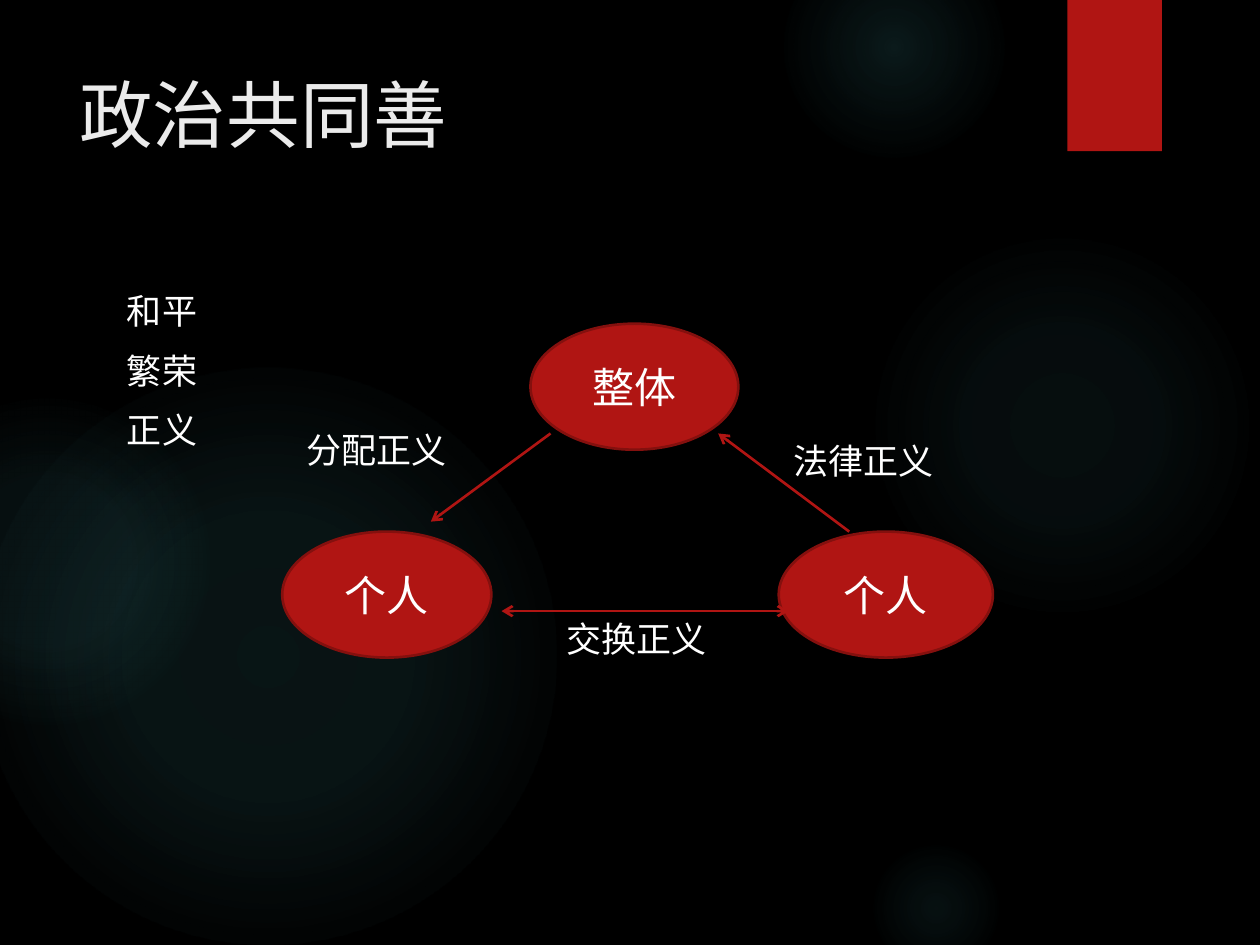
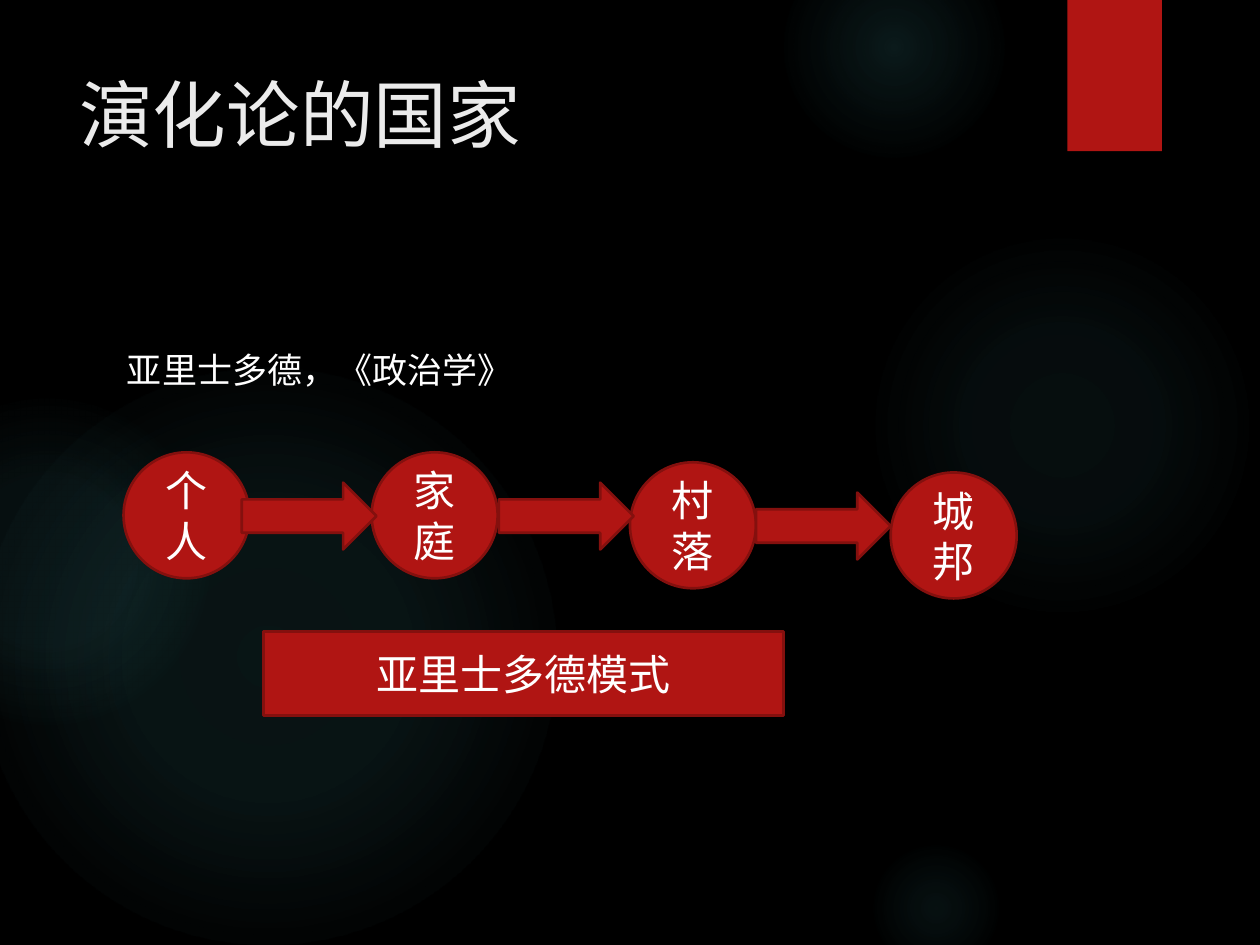
from dataclasses import dataclass

import lxml.etree
import pptx
import pptx.dml.color
import pptx.enum.dml
import pptx.enum.lang
import pptx.enum.shapes
import pptx.enum.text
import pptx.oxml
import pptx.oxml.ns
import pptx.util

Pt = pptx.util.Pt
Color = pptx.dml.color.RGBColor
Kind = pptx.enum.shapes.MSO_SHAPE
Align = pptx.enum.text.PP_ALIGN
Anchor = pptx.enum.text.MSO_ANCHOR
qn = pptx.oxml.ns.qn

BLACK = Color(0x00, 0x00, 0x00)
WHITE = Color(0xFF, 0xFF, 0xFF)
PALE = Color(0xEB, 0xEB, 0xEB)
RED = Color(0xB0, 0x15, 0x13)
DARK = Color(0x84, 0x10, 0x0E)
TEAL = Color(0x50, 0xB9, 0xC1)

MAIN = "League Spartan"
LABEL = "Calibri"
SPACE = f'xmlns:a="{pptx.oxml.ns.nsdecls("a").split(chr(34))[1]}"'


@dataclass(frozen=True)
class Box:
    left: float
    top: float
    width: float
    height: float

    def place(self) -> tuple:
        return Pt(self.left), Pt(self.top), Pt(self.width), Pt(self.height)


@dataclass(frozen=True)
class Glow:
    left: float
    top: float
    size: float
    stops: tuple


@dataclass(frozen=True)
class Node:
    text: str
    box: Box
    kind: int = Kind.OVAL


@dataclass(frozen=True)
class Label:
    text: str
    box: Box
    wrap: bool = True


@dataclass(frozen=True)
class Arrow:
    start: tuple
    end: tuple
    both: bool = False


GLOWS = (
    Glow(496, 132, 222, ((0, 7), (36, 6), (69, 0))),
    Glow(448, -36, 126, ((0, 14), (36, 7), (73, 0))),
    Glow(496, 480, 78, ((0, 9), (36, 5), (66, 0))),
    Glow(-12, 210, 330, ((0, 11), (36, 10), (75, 0))),
    Glow(-66, 228, 186, ((0, 8), (36, 8), (72, 0))),
)
BAND = Box(610, 0, 54, 86.4)
TITLE = Box(38.2, 36, 556, 110)
BODY = Box(65.5, 162, 528.5, 330.5)
SOURCE = Box(65.5, 195.8, 528.5, 296.7)

PARTS = (
    Node("个人", Box(161.3, 303.8, 119.5, 72)),
    Node("整体", Box(303.1, 185, 118.8, 72)),
    Node("个人", Box(445, 303.8, 122.4, 72)),
)
LINKS = (
    Arrow((314.6, 247.7), (246.2, 298.1)),
    Arrow((485.3, 303.8), (410.4, 247.7)),
    Arrow((286.6, 349.2), (450.7, 349.2), both=True),
)
LABELS = (
    Label("分配正义", Box(167.8, 241.2, 125.3, 62.6)),
    Label("交换正义", Box(316.8, 349.2, 113, 50.4)),
    Label("法律正义", Box(446.4, 247.7, 94.3, 31.7), wrap=False),
)

STAGES = (
    ("个人", 70.6, 258.5),
    ("家庭", 212.4, 258.5),
    ("村落", 360, 264.2),
    ("城邦", 509, 270),
)
STEP_TOPS = (275.8, 275.8, 281.5)
STEP_LEFT, STEP_GAP = 138.2, 146.9
MODEL = Node("亚里士多德模式", Box(150.5, 360.7, 297.4, 48.2), Kind.RECTANGLE)


def write(shape, text: str, *, size: float = 20, font: str = MAIN,
          color: Color = WHITE, align=Align.LEFT, anchor=Anchor.TOP,
          before: float = 0, wrap: bool = True) -> None:
    frame = shape.text_frame
    frame.text = text
    frame.word_wrap = wrap
    frame.auto_size = pptx.enum.text.MSO_AUTO_SIZE.NONE
    frame.vertical_anchor = anchor
    for index, para in enumerate(frame.paragraphs):
        para.alignment = align
        para.space_before = Pt(before if index else 0)
        for run in para.runs:
            run.font.size = Pt(size)
            run.font.name = font
            run.font.color.rgb = color
            run.font.language_id = pptx.enum.lang.MSO_LANGUAGE_ID.SIMPLIFIED_CHINESE


def add_text(slide, text: str, box: Box, **style) -> None:
    write(slide.shapes.add_textbox(*box.place()), text, **style)


def add_form(slide, kind: int, box: Box, edge: bool = True):
    form = slide.shapes.add_shape(kind, *box.place())
    form.shadow.inherit = False
    form.fill.solid()
    form.fill.fore_color.rgb = RED
    if edge:
        form.line.color.rgb = DARK
        form.line.width = Pt(1.5)
    else:
        form.line.fill.background()
    return form


def add_node(slide, node: Node) -> None:
    form = add_form(slide, node.kind, node.box)
    write(form, node.text, size=24, align=Align.CENTER, anchor=Anchor.MIDDLE)


def add_glow(slide, glow: Glow) -> None:
    box = Box(glow.left, glow.top, glow.size, glow.size)
    form = add_form(slide, Kind.OVAL, box, edge=False)
    stops = "".join(
        f'<a:gs pos="{spot * 1000}"><a:srgbClr val="{TEAL}">'
        f'<a:alpha val="{alpha * 1000}"/></a:srgbClr></a:gs>'
        for spot, alpha in glow.stops)
    grade = pptx.oxml.parse_xml(
        f'<a:gradFill {SPACE} rotWithShape="1"><a:gsLst>{stops}</a:gsLst>'
        '<a:path path="circle"><a:fillToRect l="50000" t="50000" r="50000" b="50000"/>'
        '</a:path></a:gradFill>')
    props = form._element.spPr
    props.replace(props.find(qn("a:solidFill")), grade)


def add_band(slide) -> None:
    form = add_form(slide, Kind.RECTANGLE, BAND, edge=False)
    form._element.spPr.find(qn("a:effectLst")).append(pptx.oxml.parse_xml(
        f'<a:outerShdw {SPACE} blurRad="{Pt(3)}" dist="{Pt(2)}" dir="5400000" '
        f'rotWithShape="0"><a:srgbClr val="{BLACK}"><a:alpha val="45000"/>'
        '</a:srgbClr></a:outerShdw>'))


def add_link(slide, arrow: Arrow) -> None:
    ends = [Pt(value) for value in arrow.start + arrow.end]
    link = slide.shapes.add_connector(pptx.enum.shapes.MSO_CONNECTOR.STRAIGHT, *ends)
    link.line.color.rgb = RED
    link.line.width = Pt(1.5)
    line = link.line._get_or_add_ln()
    for tag in ("a:headEnd", "a:tailEnd") if arrow.both else ("a:tailEnd",):
        lxml.etree.SubElement(line, qn(tag), type="arrow")
    lxml.etree.SubElement(link._element.spPr, qn("a:effectLst"))


def add_slide(deck, title: str):
    slide = deck.slides.add_slide(deck.slide_layouts[5])
    slide.background.fill.solid()
    slide.background.fill.fore_color.rgb = BLACK
    for glow in GLOWS:
        add_glow(slide, glow)
    add_band(slide)
    head = slide.shapes.title
    head.left, head.top, head.width, head.height = TITLE.place()
    write(head, title, size=42, color=PALE)
    slide.shapes._spTree.append(head._element)
    return slide


def add_justice(deck) -> None:
    slide = add_slide(deck, "政治共同善")
    add_text(slide, "和平\n繁荣\n正义", BODY, before=10)
    for part in PARTS:
        add_node(slide, part)
    for link in LINKS:
        add_link(slide, link)
    for label in LABELS:
        add_text(slide, label.text, label.box, font=LABEL, wrap=label.wrap)


def add_state(deck) -> None:
    slide = add_slide(deck, "演化论的国家")
    add_text(slide, "亚里士多德，《政治学》", SOURCE)
    for text, left, top in STAGES:
        add_node(slide, Node(text, Box(left, top, 72, 72)))
    for index, top in enumerate(STEP_TOPS):
        box = Box(STEP_LEFT + index * STEP_GAP, top, 77, 38.2)
        add_form(slide, Kind.RIGHT_ARROW, box)
    add_node(slide, MODEL)


def main() -> None:
    deck = pptx.Presentation()
    deck.slide_width, deck.slide_height = Pt(720), Pt(540)
    add_justice(deck)
    add_state(deck)
    deck.save("out.pptx")


if __name__ == "__main__":
    main()
